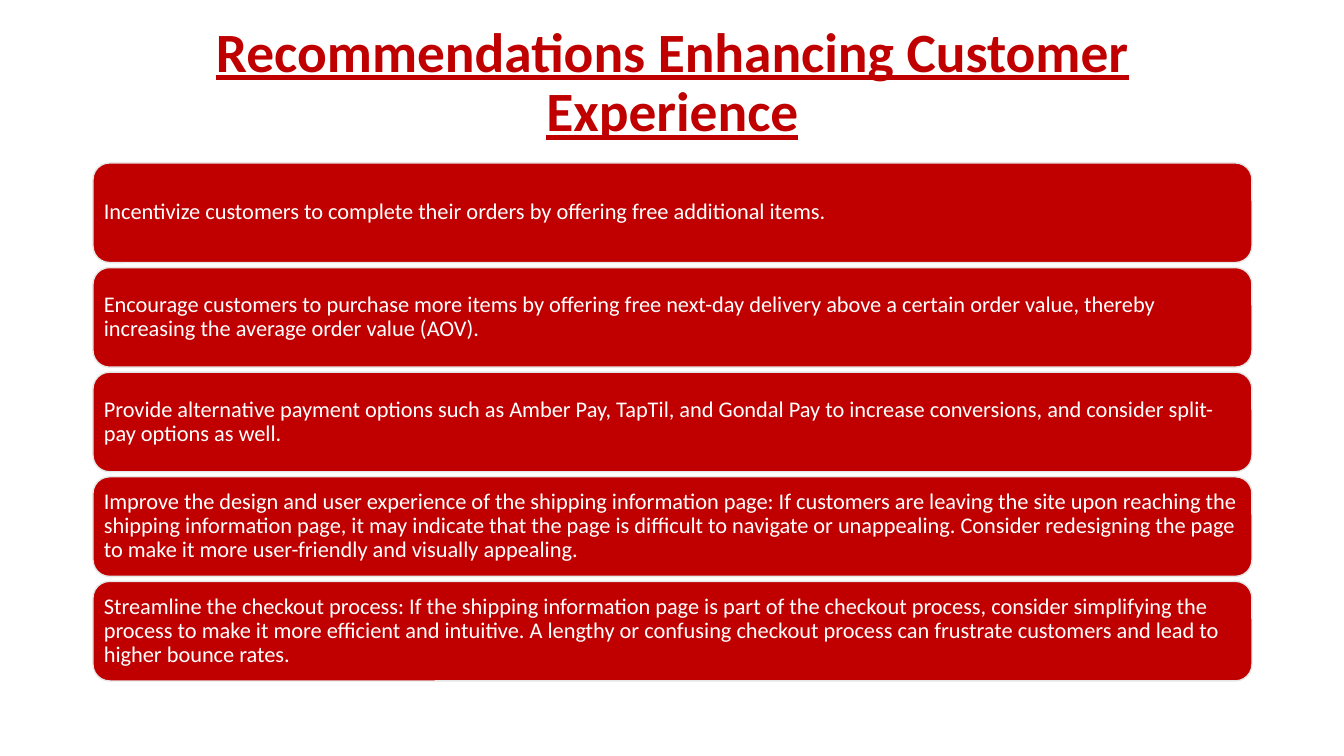
from pptx import Presentation
from pptx.dml.color import RGBColor
from pptx.enum.shapes import MSO_SHAPE as SHAPE
from pptx.enum.text import MSO_ANCHOR as ANCHOR, MSO_AUTO_SIZE as AUTO, PP_ALIGN as ALIGN
from pptx.util import Emu, Pt

EMU_PER_PX = 914400 / 100.8
LEFT, WIDTH = 93, 1159
STACK_TOP, STACK_HEIGHT, GAP = 163, 518, 5

RECOMMENDATIONS = [
    "Incentivize customers to complete their orders by offering free additional items.",
    "Encourage customers to purchase more items by offering free next-day delivery above a "
    "certain order value, thereby increasing the average order value (AOV).",
    "Provide alternative payment options such as Amber Pay, TapTil, and Gondal Pay to increase "
    "conversions, and consider split-pay options as well.",
    "Improve the design and user experience of the shipping information page: If customers are "
    "leaving the site upon reaching the shipping information page, it may indicate that the page "
    "is difficult to navigate or unappealing. Consider redesigning the page to make it more "
    "user-friendly and visually appealing.",
    "Streamline the checkout process: If the shipping information page is part of the checkout "
    "process, consider simplifying the process to make it more efficient and intuitive. A lengthy "
    "or confusing checkout process can frustrate customers and lead to higher bounce rates.",
]


def px(n):
    return Emu(round(n * EMU_PER_PX))


def rgb(color):
    return RGBColor.from_string(color)


def write(sp, text, size, color, align=ALIGN.LEFT, anchor=ANCHOR.MIDDLE,
          bold=False, underline=False, insets=(6, 6, 6, 6)):
    tf = sp.text_frame
    tf.word_wrap = True
    tf.auto_size = AUTO.NONE
    tf.vertical_anchor = anchor
    tf.margin_left, tf.margin_top, tf.margin_right, tf.margin_bottom = map(px, insets)
    p = tf.paragraphs[0]
    p.alignment = align
    p.line_spacing = 0.9
    r = p.add_run()
    r.text = text
    r.font.name = "Calibri"
    r.font.size = Pt(size)
    r.font.bold = bold
    r.font.underline = underline
    r.font.color.rgb = rgb(color)


class Deck:
    red, white, border = "C00000", "FFFFFF", "E7E6E6"

    def __init__(self):
        self.prs = Presentation()
        self.prs.slide_width, self.prs.slide_height = px(1344), px(756)
        self.s = self.prs.slides.add_slide(self.prs.slide_layouts[5])

    def title(self, text, x, y, w, h):
        sp = self.s.shapes.title
        sp.left, sp.top, sp.width, sp.height = map(px, (x, y, w, h))
        write(sp, text, 39.6, self.red, align=ALIGN.CENTER, anchor=ANCHOR.BOTTOM,
              bold=True, underline=True, insets=(10, 5, 10, 19))

    def card(self, text, x, y, w, h):
        sp = self.s.shapes.add_shape(SHAPE.ROUNDED_RECTANGLE, *map(px, (x, y, w, h)))
        sp.shadow.inherit = False
        sp.fill.solid()
        sp.fill.fore_color.rgb = rgb(self.red)
        sp.line.color.rgb = rgb(self.border)
        sp.line.width = Pt(1)
        write(sp, text, 16, self.white)


def main():
    deck = Deck()
    deck.title("Recommendations Enhancing Customer Experience", LEFT, 62, WIDTH, 101)
    count = len(RECOMMENDATIONS)
    height = (STACK_HEIGHT - GAP * (count - 1)) / count
    for i, text in enumerate(RECOMMENDATIONS):
        deck.card(text, LEFT, STACK_TOP + i * (height + GAP), WIDTH, height)
    deck.prs.save("out.pptx")


if __name__ == "__main__":
    main()
